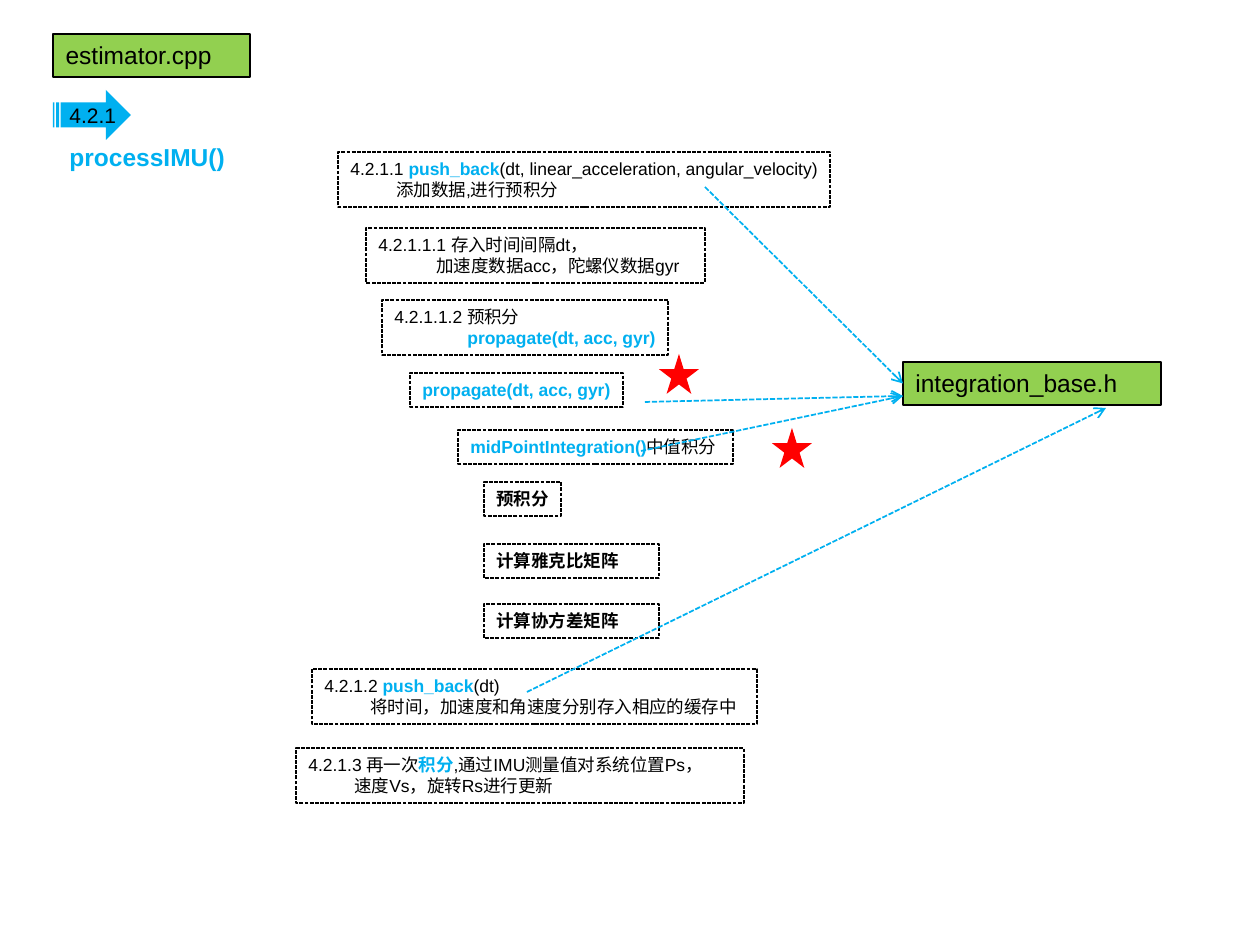
from lxml.etree import SubElement
from pptx import Presentation
from pptx.dml.color import RGBColor
from pptx.enum.dml import MSO_LINE
from pptx.enum.shapes import MSO_CONNECTOR, MSO_SHAPE
from pptx.enum.text import MSO_ANCHOR, MSO_AUTO_SIZE, PP_ALIGN
from pptx.oxml.ns import qn
from pptx.util import Emu, Pt

COLORS = {"black": "000000", "green": "92D050", "blue": "00B0F0", "red": "FF0000"}
SCALE = 914400 / 126


def px(*lengths):
    return [Emu(round(length * SCALE)) for length in lengths]


def write(box, lines, size=10, wrap=False, indent=0):
    frame = box.text_frame
    frame.word_wrap = wrap
    frame.auto_size = MSO_AUTO_SIZE.NONE
    frame.vertical_anchor = MSO_ANCHOR.TOP
    frame.margin_left = frame.margin_right = Pt(7.2)
    frame.margin_top = frame.margin_bottom = Pt(3.6)
    for index, line in enumerate(lines):
        para = frame.add_paragraph() if index else frame.paragraphs[0]
        para.alignment = PP_ALIGN.LEFT
        if index:
            para._p.get_or_add_pPr().set("marL", str(px(indent)[0]))
        for text, color, bold in line:
            span = para.add_run()
            span.text = text
            span.font.name = "Arial"
            span.font.size = Pt(size)
            span.font.bold = bold
            span.font.color.rgb = RGBColor.from_string(COLORS[color])


deck = Presentation()
deck.slide_width, deck.slide_height = px(1260, 945)
page = deck.slides.add_slide(deck.slide_layouts[5])

source_file = page.shapes.title
source_file.left, source_file.top, source_file.width, source_file.height = px(53, 34, 197, 43)
header_file = page.shapes.add_shape(MSO_SHAPE.RECTANGLE, *px(903, 362, 258, 43))
header_file.shadow.inherit = False
for box, name in ((source_file, "estimator.cpp"), (header_file, "integration_base.h")):
    box.fill.solid()
    box.fill.fore_color.rgb = RGBColor.from_string(COLORS["green"])
    box.line.color.rgb = RGBColor.from_string(COLORS["black"])
    box.line.width = Pt(0.75)
    write(box, [[(name, "black", False)]], size=14, wrap=True)

steps = [
    ((338, 152, 492), 46, False, [
        [("4.2.1.1 ", "black", False), ("push_back", "blue", True),
         ("(dt, linear_acceleration, angular_velocity)", "black", False)],
        [("添加数据,进行预积分", "black", False)]]),
    ((366, 228, 339), 58, False, [
        [("4.2.1.1.1 存入时间间隔dt，", "black", False)],
        [("加速度数据acc，陀螺仪数据gyr", "black", False)]]),
    ((382, 300, 286), 73, False, [
        [("4.2.1.1.2 预积分", "black", False)],
        [("propagate(dt, acc, gyr)", "blue", True)]]),
    ((410, 373, 213), 0, False, [[("propagate(dt, acc, gyr)", "blue", True)]]),
    ((458, 430, 275), 0, False, [
        [("midPointIntegration()", "blue", True), ("中值积分", "black", False)]]),
    ((484, 482, 77), 0, False, [[("预积分", "black", True)]]),
    ((484, 544, 175), 0, True, [[("计算雅克比矩阵", "black", True)]]),
    ((484, 604, 175), 0, True, [[("计算协方差矩阵", "black", True)]]),
    ((312, 669, 445), 46, False, [
        [("4.2.1.2 ", "black", False), ("push_back", "blue", True), ("(dt)", "black", False)],
        [("将时间，加速度和角速度分别存入相应的缓存中", "black", False)]]),
    ((296, 748, 448), 46, False, [
        [("4.2.1.3 再一次", "black", False), ("积分", "blue", True),
         (",通过IMU测量值对系统位置Ps，", "black", False)],
        [("速度Vs，旋转Rs进行更新", "black", False)]]),
]
for (left, top, width), indent, wrap, lines in steps:
    height = 13 + 21 * len(lines)
    box = page.shapes.add_shape(MSO_SHAPE.RECTANGLE, *px(left, top, width, height))
    box.shadow.inherit = False
    box.fill.background()
    box.line.color.rgb = RGBColor.from_string(COLORS["black"])
    box.line.width = Pt(0.75)
    box.line.dash_style = MSO_LINE.SQUARE_DOT
    write(box, lines, wrap=wrap, indent=indent)

markers = [
    (MSO_SHAPE.STAR_5_POINT, "red", (659, 354, 40, 40)),
    (MSO_SHAPE.STAR_5_POINT, "red", (772, 428, 40, 40)),
    (MSO_SHAPE.STRIPED_RIGHT_ARROW, "blue", (53, 90, 78, 50)),
]
for kind, color, place in markers:
    marker = page.shapes.add_shape(kind, *px(*place))
    marker.shadow.inherit = False
    marker.fill.solid()
    marker.fill.fore_color.rgb = RGBColor.from_string(COLORS[color])
    marker.line.fill.background()

labels = [
    ("4.2.1", "black", False, 12, (57, 96, 72, 38)),
    ("processIMU()", "blue", True, 14, (57, 136, 180, 43)),
]
for text, color, bold, size, place in labels:
    label = page.shapes.add_textbox(*px(*place))
    write(label, [[(text, color, bold)]], size=size)

calls = [
    (705, 187, 903, 383, True),
    (645, 402, 903, 396, False),
    (641, 451, 903, 396, False),
    (527, 692, 1106, 408, False),
]
for start_x, start_y, end_x, end_y, joined in calls:
    arrow = page.shapes.add_connector(MSO_CONNECTOR.STRAIGHT, *px(start_x, start_y, end_x, end_y))
    if joined:
        arrow.end_connect(header_file, 1)
    arrow.line.color.rgb = RGBColor.from_string(COLORS["blue"])
    arrow.line.width = Pt(1)
    arrow.line.dash_style = MSO_LINE.SQUARE_DOT
    SubElement(arrow.line._get_or_add_ln(), qn("a:tailEnd"), type="arrow")
    SubElement(arrow._element.spPr, qn("a:effectLst"))

deck.save("out.pptx")
